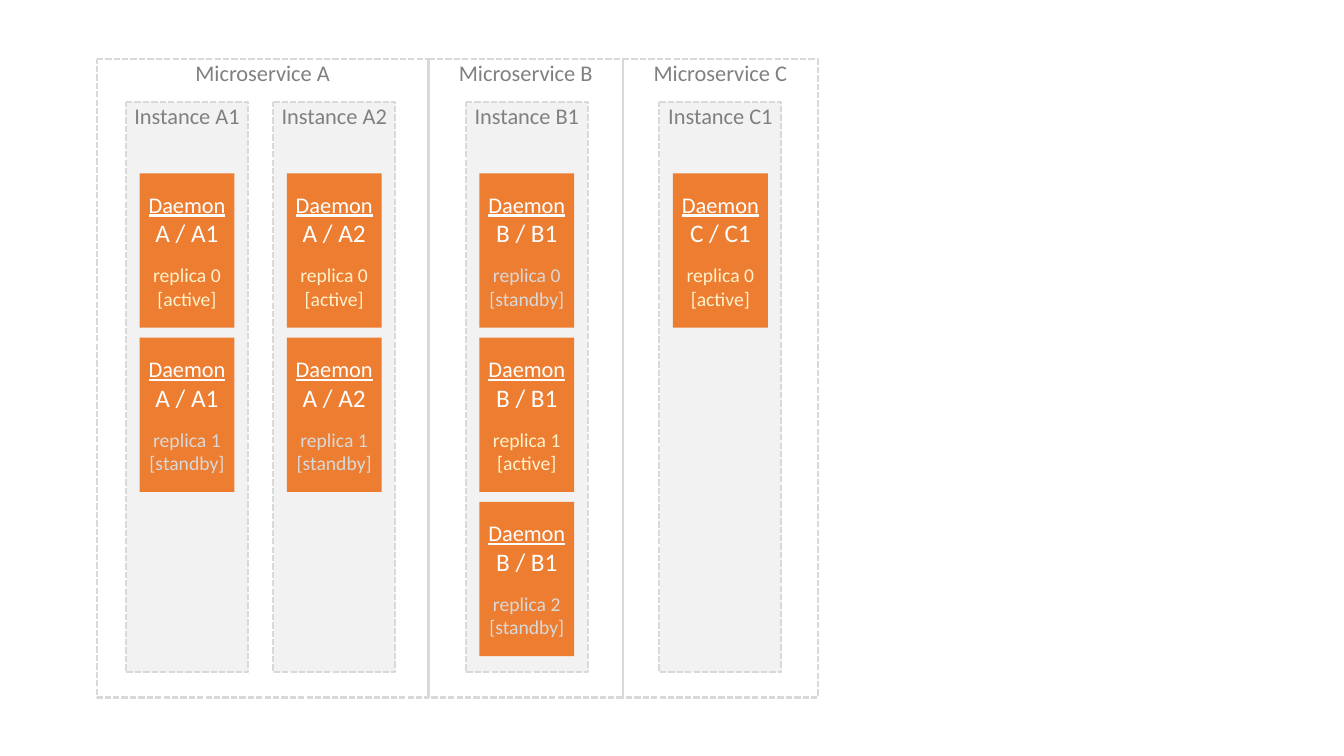
from pptx import Presentation
from pptx.dml.color import RGBColor
from pptx.enum.dml import MSO_LINE
from pptx.enum.shapes import MSO_SHAPE
from pptx.enum.text import MSO_ANCHOR, PP_ALIGN
from pptx.util import Inches, Pt

ROUNDED = MSO_SHAPE.ROUNDED_RECTANGLE
DASHED = MSO_LINE.SQUARE_DOT
TOP, MIDDLE = MSO_ANCHOR.TOP, MSO_ANCHOR.MIDDLE
CENTER = PP_ALIGN.CENTER

ORANGE = RGBColor(0xED, 0x7D, 0x31)
WHITE = RGBColor(0xFF, 0xFF, 0xFF)
PALE_GRAY = RGBColor(0xF2, 0xF2, 0xF2)
LIGHT_GRAY = RGBColor(0xD9, 0xD9, 0xD9)
GRAY = RGBColor(0x80, 0x80, 0x80)
CREAM = RGBColor(0xFF, 0xF2, 0xCC)
STATE_COLORS = {"active": CREAM, "standby": LIGHT_GRAY}

SERVICE_TOP, SERVICE_HEIGHT = 0.59, 6.33
INSTANCE_TOP, INSTANCE_WIDTH, INSTANCE_HEIGHT = 1.01, 1.21, 5.66
DAEMON_TOP, DAEMON_WIDTH, DAEMON_HEIGHT = 1.72, 0.94, 1.53
DAEMON_PITCH = 1.63
DAEMON_INSET = (INSTANCE_WIDTH - DAEMON_WIDTH) / 2

# Service name, left, width, and its instances: number, left, replica states
SERVICES = [
    ("A", 0.96, 3.29, [(1, 1.25, ["active", "standby"]),
                       (2, 2.71, ["active", "standby"])]),
    ("B", 4.25, 1.93, [(1, 4.62, ["standby", "active", "standby"])]),
    ("C", 6.18, 1.93, [(1, 6.54, ["active"])]),
]


def write(para, text, size=16, color=GRAY, underline=False, before=0):
    """Fill a centred paragraph with one formatted span."""
    para.alignment = CENTER
    para.space_before = Pt(before)
    span = para.add_run()
    span.text = text
    span.font.name = "Calibri"
    span.font.size = Pt(size)
    span.font.color.rgb = color
    span.font.underline = underline


class Diagram:
    """Draws the parts of the deployment diagram on one page."""

    def __init__(self, page):
        """Keep the page to draw on."""
        self.page = page

    def box(self, left, top, width, height, fill=None, dashed=True, anchor=TOP):
        """Add a square-cornered box and return its text frame."""
        box = self.page.shapes.add_shape(
            ROUNDED, Inches(left), Inches(top), Inches(width), Inches(height))
        box.adjustments[0] = 0
        box.shadow.inherit = False
        if fill is None:
            box.fill.background()
        else:
            box.fill.solid()
            box.fill.fore_color.rgb = fill
        if dashed:
            box.line.color.rgb = LIGHT_GRAY
            box.line.width = Pt(1.5)
            box.line.dash_style = DASHED
        else:
            box.line.fill.background()
        frame = box.text_frame
        frame.word_wrap = True
        frame.vertical_anchor = anchor
        frame.margin_left = frame.margin_right = 0
        frame.margin_top = frame.margin_bottom = 0
        return frame

    def daemon(self, left, row, name, state):
        """Add the orange box of one replica."""
        frame = self.box(left, DAEMON_TOP + row * DAEMON_PITCH, DAEMON_WIDTH,
                         DAEMON_HEIGHT, ORANGE, dashed=False, anchor=MIDDLE)
        color = STATE_COLORS[state]
        write(frame.paragraphs[0], "Daemon", color=WHITE, underline=True)
        write(frame.add_paragraph(), name, size=18, color=WHITE)
        write(frame.add_paragraph(), f"replica {row}", size=14, color=color, before=11)
        write(frame.add_paragraph(), f"[{state}]", size=14, color=color)

    def instance(self, service, number, left, states):
        """Add an instance column with its replicas."""
        name = f"{service}{number}"
        frame = self.box(left, INSTANCE_TOP, INSTANCE_WIDTH, INSTANCE_HEIGHT, PALE_GRAY)
        write(frame.paragraphs[0], f"Instance {name}")
        for row, state in enumerate(states):
            self.daemon(left + DAEMON_INSET, row, f"{service} / {name}", state)

    def service(self, name, left, width, instances):
        """Add a microservice frame around its instances."""
        for number, instance_left, states in instances:
            self.instance(name, number, instance_left, states)
        frame = self.box(left, SERVICE_TOP, width, SERVICE_HEIGHT)
        write(frame.paragraphs[0], f"Microservice {name}")


def main():
    """Build and save the deck."""
    deck = Presentation()
    deck.slide_width, deck.slide_height = Inches(13.33), Inches(7.5)
    blank_layout = deck.slide_layouts[6]
    diagram = Diagram(deck.slides.add_slide(blank_layout))
    for service in SERVICES:
        diagram.service(*service)
    deck.save("out.pptx")


main()
